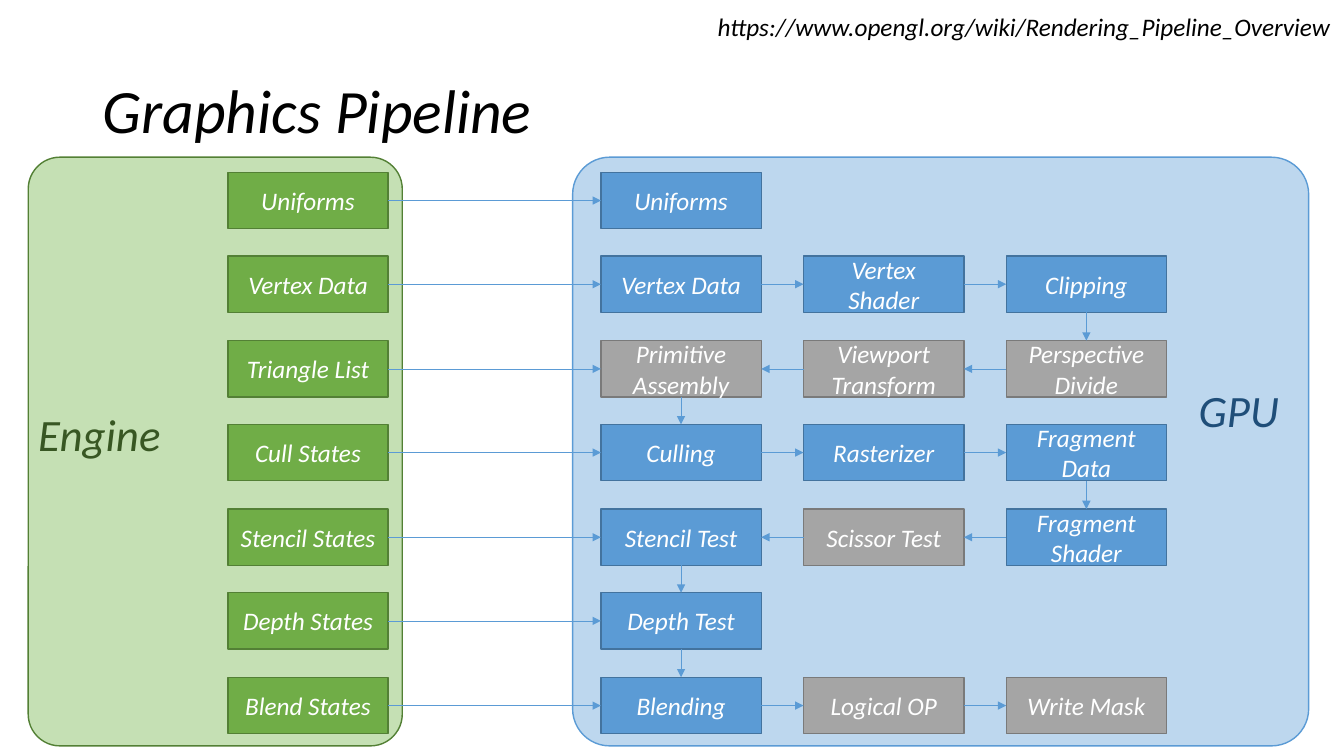
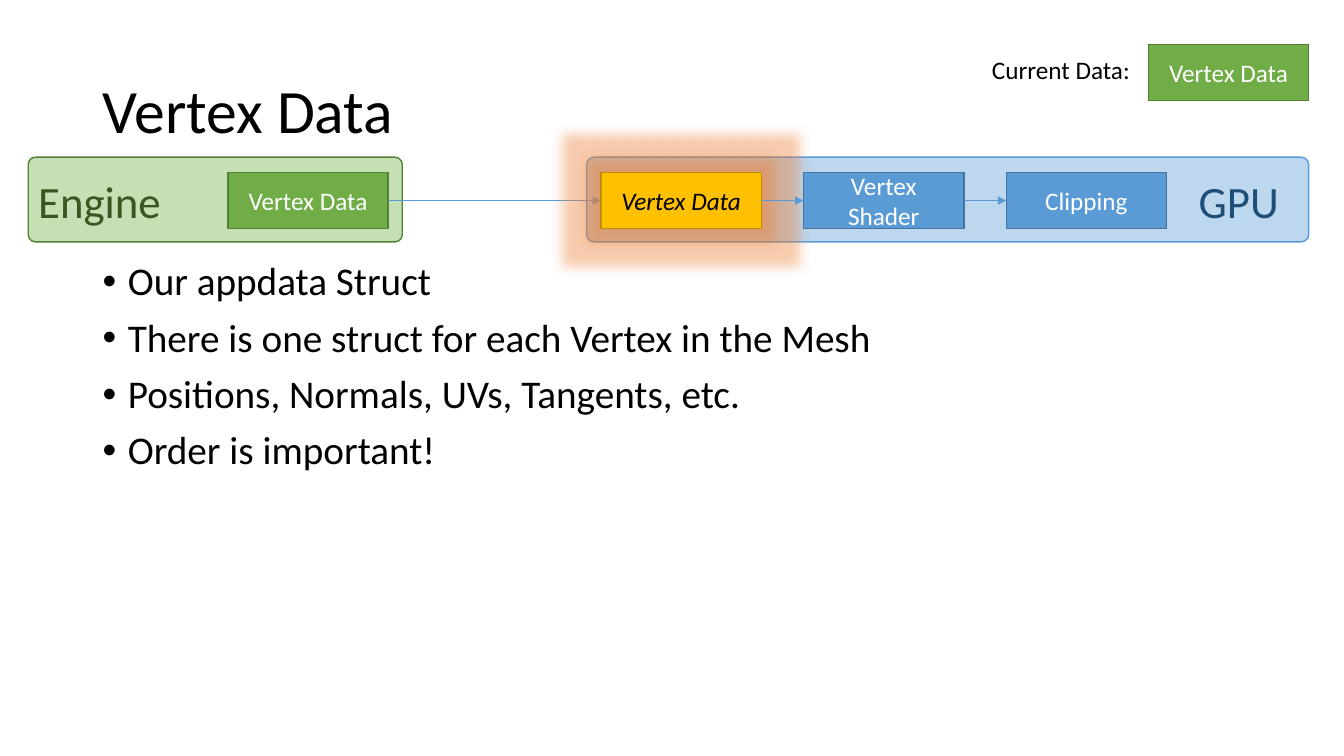
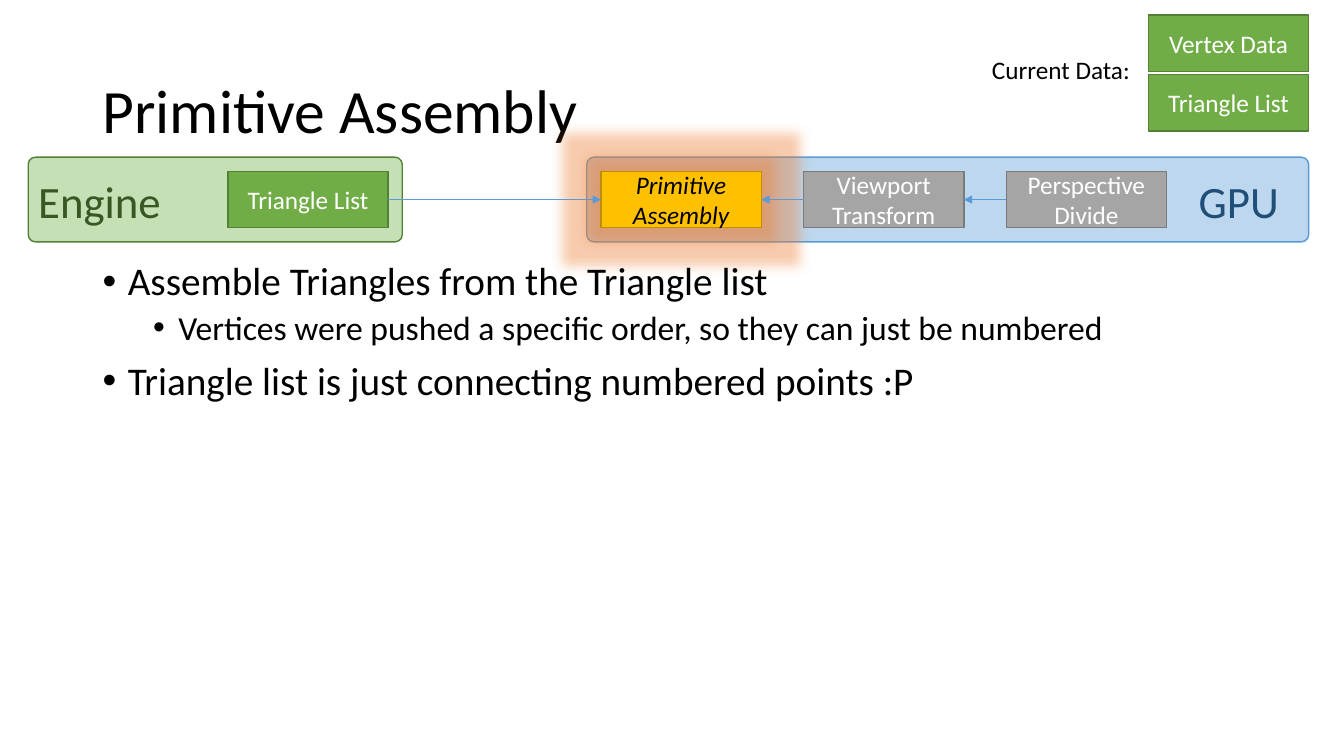
from itertools import pairwise

from lxml import etree
from pptx import Presentation
from pptx.dml.color import RGBColor
from pptx.enum.shapes import MSO_CONNECTOR, MSO_SHAPE
from pptx.enum.text import MSO_ANCHOR, PP_ALIGN
from pptx.oxml.ns import qn
from pptx.util import Emu, Pt

RECT, ROUND = MSO_SHAPE.RECTANGLE, MSO_SHAPE.ROUNDED_RECTANGLE
STRAIGHT = MSO_CONNECTOR.STRAIGHT
TOP, MIDDLE = MSO_ANCHOR.TOP, MSO_ANCHOR.MIDDLE
LEFT, CENTER = PP_ALIGN.LEFT, PP_ALIGN.CENTER

# Content: each row is an engine box followed by its GPU boxes
FIXED_STAGES = {"Primitive Assembly", "Viewport Transform", "Perspective Divide",
                "Scissor Test", "Logical OP", "Write Mask"}
SLIDES = [
    dict(title="Graphics Pipeline", italic=True, focus=None,
         url="https://www.opengl.org/wiki/Rendering_Pipeline_Overview",
         rows=[("Uniforms", "Uniforms"),
               ("Vertex Data", "Vertex Data", "Vertex Shader", "Clipping"),
               ("Triangle List", "Primitive Assembly", "Viewport Transform",
                "Perspective Divide"),
               ("Cull States", "Culling", "Rasterizer", "Fragment Data"),
               ("Stencil States", "Stencil Test", "Scissor Test", "Fragment Shader"),
               ("Depth States", "Depth Test"),
               ("Blend States", "Blending", "Logical OP", "Write Mask")],
         flow=[(1, 1), (1, 2), (1, 3), (2, 3), (2, 2), (2, 1), (3, 1), (3, 2),
               (3, 3), (4, 3), (4, 2), (4, 1), (5, 1), (6, 1), (6, 2), (6, 3)],
         row_top=171, panel_h=584, gpu_left=568, gpu_round=0.063,
         engine_y=399, gpu_y=375),
    dict(title="Vertex Data", italic=False, focus=(0, 1), glow_over_arrow=True,
         rows=[("Vertex Data", "Vertex Data", "Vertex Shader", "Clipping")],
         flow=[(0, 1), (0, 2), (0, 3)],
         current=["Vertex Data"],
         bullets=[(0, "Our appdata Struct"),
                  (0, "There is one struct for each Vertex in the Mesh"),
                  (0, "Positions, Normals, UVs, Tangents, etc."),
                  (0, "Order is important!")],
         row_top=171, panel_h=84, gpu_left=582, gpu_round=0.085,
         engine_y=167, gpu_y=167),
    dict(title="Primitive Assembly", italic=False, focus=(0, 1),
         rows=[("Triangle List", "Primitive Assembly", "Viewport Transform",
                "Perspective Divide")],
         flow=[(0, 3), (0, 2), (0, 1)],
         current=["Vertex Data", "Triangle List"],
         bullets=[(0, "Assemble Triangles from the Triangle list"),
                  (1, "Vertices were pushed a specific order, so they can just be numbered"),
                  (0, "Triangle list is just connecting numbered points :P")],
         row_top=170, panel_h=84, gpu_left=582, gpu_round=0.085,
         engine_y=167, gpu_y=167),
]

# Theme: (fill, line) pairs, text colours and sizes
THEME = dict(
    font="Calibri",
    boxes=dict(engine=("70AD47", "538035"), gpu=("5B9BD5", "43739E"),
               fixed=("A5A5A5", "7A7A7A"), focus=("FFC000", "BD8E00"),
               engine_panel=("C5E0B4", "538035"), gpu_panel=("BDD7EE", "5B9BD5")),
    arrow="5B9BD5", glow="ED7D31",
    dark="000000", light="FFFFFF", engine_text="385723", gpu_text="1F4E79",
    title=44, panel=32, label=18, bullets=(28, 24), space=(10, 5), indent=(25, 75))

# Geometry in px, 100 to the inch
SCALE = 9144
COLUMNS = (226, 596, 797, 998)
BOX_W, BOX_H = 159, 56
ENGINE_LEFT, ENGINE_W, PANEL_TOP, GPU_RIGHT = 28, 371, 156, 1298
CURRENT_LEFT, CURRENT_TOP, CURRENT_STEP = 1139, 44, 59


def px(n):
    return Emu(n * SCALE)


def row_y(top, row):
    return top + 167 * row // 2


def set_all(obj, **values):
    for name, value in values.items():
        setattr(obj, name, value)


def style_font(font, size, color, italic=False):
    set_all(font, name=THEME["font"], size=Pt(size), italic=italic)
    font.color.rgb = RGBColor.from_string(color)


def effects(sp_pr):
    return etree.SubElement(sp_pr, qn("a:effectLst"))


def text_box(slide, box, text, size, color, italic=False, anchor=TOP, spacing=None):
    sp = slide.shapes.add_textbox(*map(px, box))
    tf = sp.text_frame
    set_all(tf, word_wrap=True, vertical_anchor=anchor, margin_right=0)
    p = tf.paragraphs[0]
    p.text = text
    if spacing:
        p.line_spacing = spacing
    style_font(p.font, size, color, italic)
    return sp


def box(slide, kind, at, text=None, italic=False, rounding=None):
    sp = slide.shapes.add_shape(ROUND if rounding else RECT, *map(px, at))
    if rounding:
        sp.adjustments[0] = rounding
    fill, line = THEME["boxes"][kind]
    sp.fill.solid()
    sp.fill.fore_color.rgb = RGBColor.from_string(fill)
    sp.line.color.rgb = RGBColor.from_string(line)
    sp.line.width = Pt(1)
    sp.shadow.inherit = False
    if text:
        tf = sp.text_frame
        set_all(tf, word_wrap=True, vertical_anchor=MIDDLE)
        p = tf.paragraphs[0]
        set_all(p, text=text, alignment=CENTER)
        focus = kind == "focus"
        style_font(p.font, THEME["label"], THEME["dark" if focus else "light"],
                   italic or focus)
    return sp


def add_glow(sp):
    glow = etree.SubElement(sp._element.spPr.find(qn("a:effectLst")), qn("a:glow"),
                            rad=str(px(25)))
    color = etree.SubElement(glow, qn("a:srgbClr"), val=THEME["glow"])
    etree.SubElement(color, qn("a:alpha"), val="40000")


def arrow(slide, boxes, start, end):
    if start[0] != end[0]:
        sites = 2, 0
    else:
        sites = (3, 1) if start[1] < end[1] else (1, 3)
    cxn = slide.shapes.add_connector(STRAIGHT, 0, 0, 0, 0)
    cxn.begin_connect(boxes[start], sites[0])
    cxn.end_connect(boxes[end], sites[1])
    cxn.line.color.rgb = RGBColor.from_string(THEME["arrow"])
    cxn.line.width = Pt(0.5)
    etree.SubElement(cxn.line._get_or_add_ln(), qn("a:tailEnd"), type="triangle")
    effects(cxn._element.spPr)
    return cxn


def add_panels(slide, spec):
    top, height, italic = PANEL_TOP, spec["panel_h"], spec["italic"]
    left = spec["gpu_left"]
    box(slide, "gpu_panel", (left, top, GPU_RIGHT - left, height),
        rounding=spec["gpu_round"])
    box(slide, "engine_panel", (ENGINE_LEFT, top, ENGINE_W, height), rounding=0.085)
    for name, x, w in (("Engine", ENGINE_LEFT, 182), ("GPU", 1179, 150)):
        key = name.lower()
        text_box(slide, (x, spec[key + "_y"], w, 64), name, THEME["panel"],
                 THEME[key + "_text"], italic)


def add_pipeline(slide, spec):
    boxes = {}
    for r, row in enumerate(spec["rows"]):
        for c, name in enumerate(row):
            if (r, c) == spec["focus"]:
                kind = "focus"
            elif c == 0:
                kind = "engine"
            else:
                kind = "fixed" if name in FIXED_STAGES else "gpu"
            at = COLUMNS[c], row_y(spec["row_top"], r), BOX_W, BOX_H
            boxes[r, c] = box(slide, kind, at, name, spec["italic"])
            if kind == "focus":
                add_glow(boxes[r, c])
    for r in range(len(spec["rows"])):
        cxn = arrow(slide, boxes, (r, 0), (r, 1))
        if spec.get("glow_over_arrow"):
            boxes[r, 1]._element.addprevious(cxn._element)
    for start, end in pairwise(spec["flow"]):
        arrow(slide, boxes, start, end)


def add_current_data(slide, names):
    text_box(slide, (974, 49, 165, 40), "Current Data:", THEME["label"], THEME["dark"])
    top = CURRENT_TOP - CURRENT_STEP * (len(names) - 1) // 2
    for i, name in enumerate(names):
        box(slide, "engine", (CURRENT_LEFT, top + i * CURRENT_STEP, BOX_W, BOX_H), name)


def add_bullets(slide, bullets):
    tf = slide.shapes.add_textbox(*map(px, (92, 255, 1150, 420))).text_frame
    tf.word_wrap = True
    for i, (level, text) in enumerate(bullets):
        p = tf.add_paragraph() if i else tf.paragraphs[0]
        set_all(p, text=text, level=level, alignment=LEFT, line_spacing=0.9,
                space_before=Pt(THEME["space"][level] if i else 0))
        p_pr = p._p.get_or_add_pPr()
        p_pr.set("marL", str(px(THEME["indent"][level])))
        p_pr.set("indent", str(px(-25)))
        etree.SubElement(p_pr, qn("a:buFont"), typeface="Arial")
        etree.SubElement(p_pr, qn("a:buChar"), char="•")
        style_font(p.font, THEME["bullets"][level], THEME["dark"])


def main():
    prs = Presentation()
    set_all(prs, slide_width=px(1333), slide_height=px(750))
    for spec in SLIDES:
        slide = prs.slides.add_slide(prs.slide_layouts[6])
        add_panels(slide, spec)
        text_box(slide, (92, 40, 1150, 145), spec["title"], THEME["title"],
                 THEME["dark"], spec["italic"], MIDDLE, 0.9)
        add_pipeline(slide, spec)
        if "url" in spec:
            text_box(slide, (702, 6, 631, 40), spec["url"], THEME["label"],
                     THEME["dark"], spec["italic"])
        if "current" in spec:
            add_current_data(slide, spec["current"])
        if "bullets" in spec:
            add_bullets(slide, spec["bullets"])
    prs.save("out.pptx")


if __name__ == "__main__":
    main()
